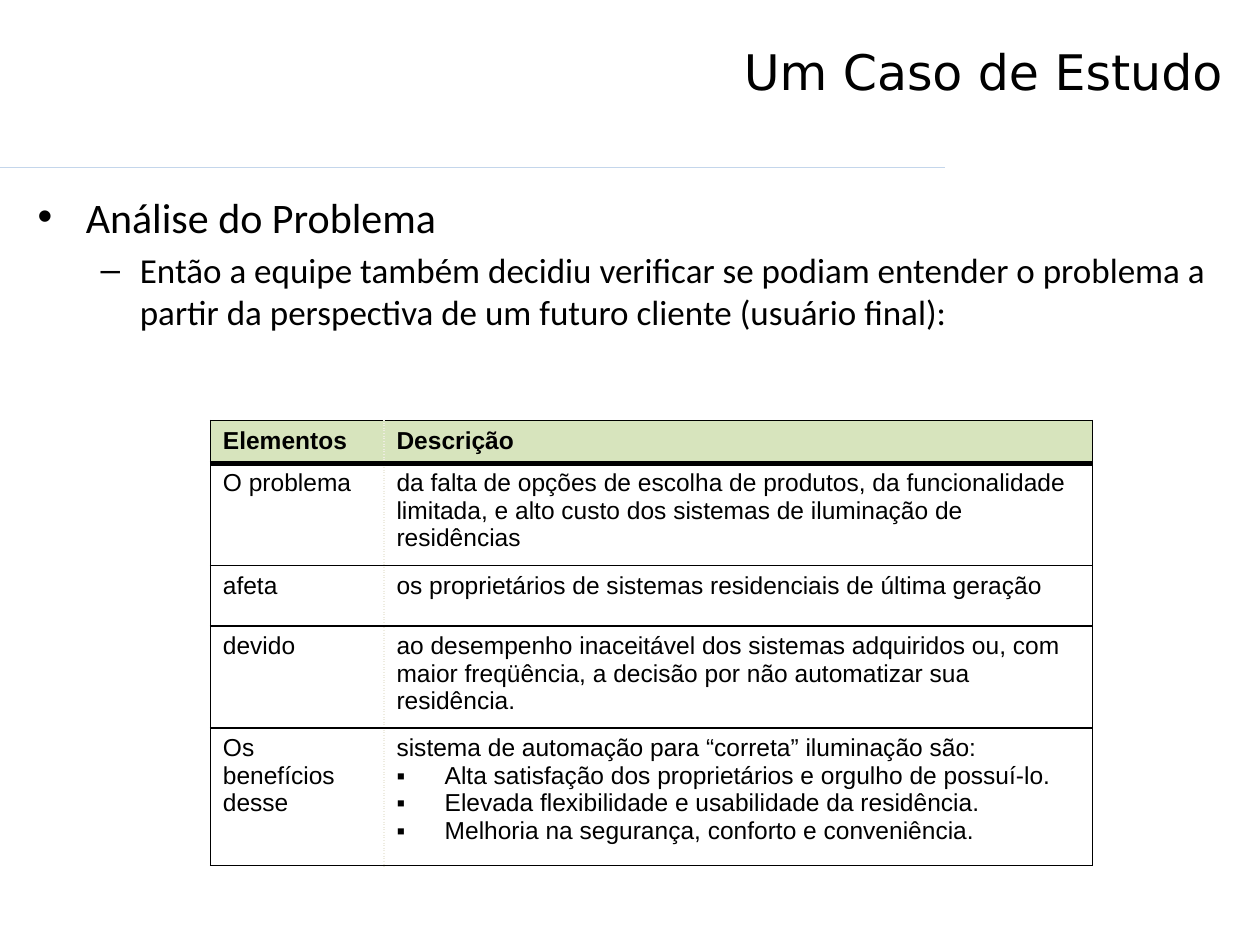
from lxml.etree import SubElement
from pptx import Presentation
from pptx.dml.color import RGBColor as Rgb
from pptx.enum.shapes import MSO_CONNECTOR as Connector
from pptx.enum.text import MSO_ANCHOR as Anchor, PP_ALIGN as Align
from pptx.oxml.ns import qn
from pptx.util import Cm, Pt

COLORS = {"text": "000000", "rule": "C4D6EB", "header": "D7E4BD",
          "border": "000000", "divider": "EEECE1"}

TITLE = "Um Caso de Estudo"
BODY = [
    ("Análise do Problema", 24, "•", 0.97, -0.97, 0),
    ("Então a equipe também decidiu verificar se podiam entender o problema "
     "a partir da perspectiva de um futuro cliente (usuário final):",
     20, "–", 2.06, -0.79, 4),
]
ELEMENTS = [
    ("Elementos", ["Descrição"]),
    ("O problema", ["da falta de opções de escolha de produtos, da funcionalidade "
                    "limitada, e alto custo dos sistemas de iluminação de residências"]),
    ("afeta", ["os proprietários de sistemas residenciais de última geração"]),
    ("devido", ["ao desempenho inaceitável dos sistemas adquiridos ou, com maior "
                "freqüência, a decisão por não automatizar sua residência."]),
    ("Os benefícios desse", ["sistema de automação para “correta” iluminação são:",
                             "Alta satisfação dos proprietários e orgulho de possuí-lo.",
                             "Elevada flexibilidade e usabilidade da residência.",
                             "Melhoria na segurança, conforto e conveniência."]),
]
COLUMN_WIDTHS = [3.5, 14.29]
ROW_HEIGHTS = [0.86, 2.06, 1.22, 2.06, 2.77]
HANGING = 0.97


def style(paragraph, size, font, bold=False):
    for run in paragraph.runs:
        run.font.size = Pt(size)
        run.font.name = font
        run.font.bold = bold
        run.font.color.rgb = Rgb.from_string(COLORS["text"])


def indent(paragraph, left, first, bullet=None, tab=None):
    props = paragraph._p.get_or_add_pPr()
    props.set("marL", str(Cm(left)))
    props.set("indent", str(Cm(first)))
    if bullet:
        SubElement(props, qn("a:buFont"), typeface="Arial")
        SubElement(props, qn("a:buChar"), char=bullet)
    if tab:
        tabs = SubElement(props, qn("a:tabLst"))
        SubElement(tabs, qn("a:tab"), pos=str(Cm(tab)), algn="l")


def border(cell, side, color, width, dash="solid"):
    line = SubElement(cell._tc.get_or_add_tcPr(), qn(f"a:ln{side}"), w=str(Pt(width)))
    fill = SubElement(line, qn("a:solidFill"))
    SubElement(fill, qn("a:srgbClr"), val=COLORS[color])
    SubElement(line, qn("a:prstDash"), val=dash)


def text_box(slide, left, top, width, height):
    frame = slide.shapes.add_textbox(Cm(left), Cm(top), Cm(width), Cm(height)).text_frame
    frame.word_wrap = True
    frame.vertical_anchor = Anchor.TOP
    return frame


def add_rule(slide):
    rule = slide.shapes.add_connector(Connector.STRAIGHT, 0, Cm(3.38), Cm(19.05), Cm(3.38))
    rule.line.color.rgb = Rgb.from_string(COLORS["rule"])
    rule.line.width = Pt(0.75)
    SubElement(rule._element.spPr, qn("a:effectLst"))


def add_title(slide):
    heading = text_box(slide, 0.46, 0.71, 24.43, 2.57).paragraphs[0]
    heading.text = TITLE
    heading.alignment = Align.RIGHT
    style(heading, 28, "DejaVu Sans")


def add_body(slide):
    body = text_box(slide, 0.51, 3.73, 24.41, 13.21)
    body.text = "\n".join(item[0] for item in BODY)
    for level, (paragraph, item) in enumerate(zip(body.paragraphs, BODY)):
        _, size, bullet, left, first, before = item
        paragraph.level = level
        indent(paragraph, left, first, bullet)
        if before:
            paragraph.space_before = Pt(before)
        style(paragraph, size, "Calibri")


def frame_cell(cell, row, column):
    outer, divider = ("border", 0.75), ("divider", 1, "sysDot")
    border(cell, "L", *(divider if column else outer))
    border(cell, "R", *(outer if column else divider))
    border(cell, "T", "border", 3 if row == 1 else 1)
    border(cell, "B", "border", 3 if row == 0 else 1)
    if row == 0:
        cell.fill.solid()
        cell.fill.fore_color.rgb = Rgb.from_string(COLORS["header"])
    else:
        cell.fill.background()


def add_elements(slide):
    table = slide.shapes.add_table(
        len(ELEMENTS), len(COLUMN_WIDTHS), Cm(4.24), Cm(8.48),
        Cm(sum(COLUMN_WIDTHS)), Cm(sum(ROW_HEIGHTS))).table
    table.horz_banding = False
    for column, width in zip(table.columns, COLUMN_WIDTHS):
        column.width = Cm(width)
    for r, (element, description) in enumerate(ELEMENTS):
        table.rows[r].height = Cm(ROW_HEIGHTS[r])
        for c, lines in enumerate(([element], description)):
            cell = table.cell(r, c)
            cell.text_frame.text = "\n".join(lines)
            is_list = len(lines) > 1
            is_label = r == 0 or (c == 0 and r < len(ELEMENTS) - 1)
            for n, paragraph in enumerate(cell.text_frame.paragraphs):
                if is_list or is_label:
                    indent(paragraph, HANGING, -HANGING, "▪" if n else None,
                           0.64 if is_list else None)
                style(paragraph, 14, "Arial", bold=r == 0)
            frame_cell(cell, r, c)


def main():
    deck = Presentation()
    deck.slide_width, deck.slide_height = Cm(25.4), Cm(19.05)
    slide = deck.slides.add_slide(deck.slide_layouts[6])
    add_rule(slide)
    add_elements(slide)
    add_title(slide)
    add_body(slide)
    deck.save("out.pptx")


if __name__ == "__main__":
    main()
